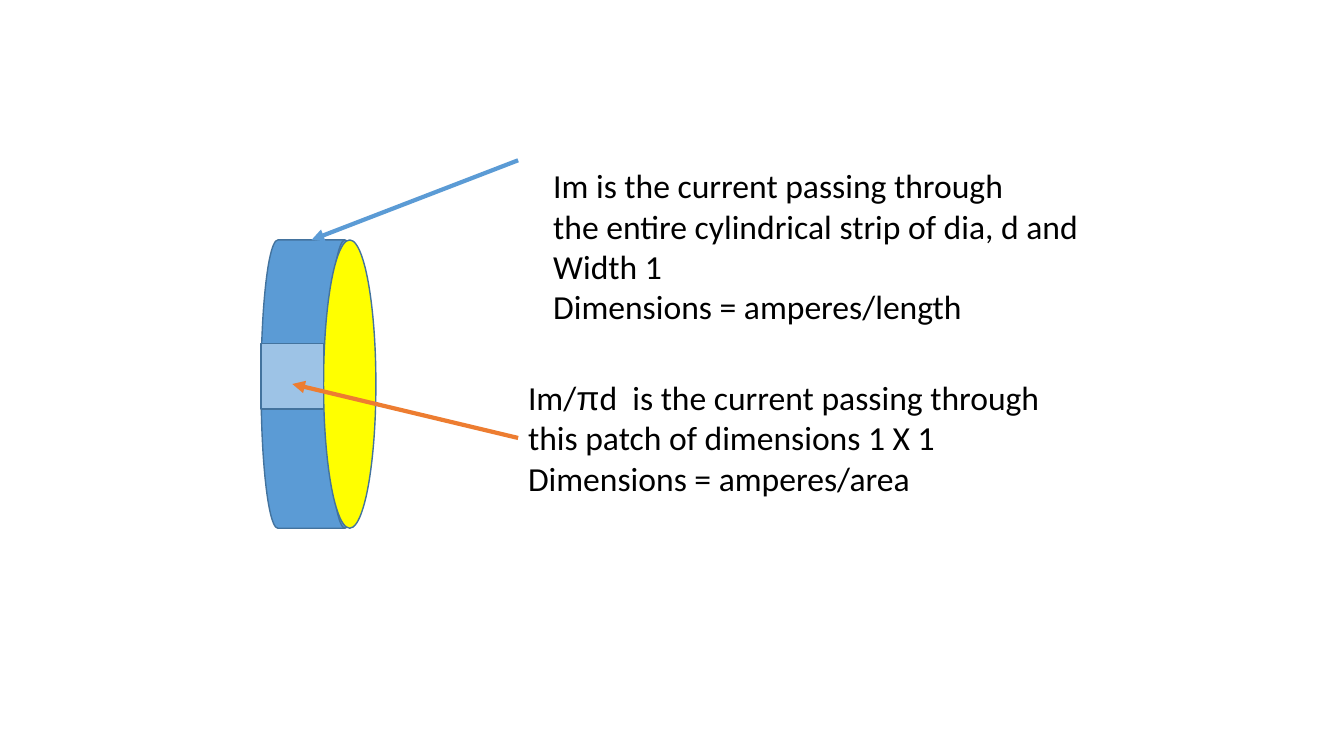
import pptx
import pptx.util
import pptx.dml.color
import pptx.enum.shapes
import pptx.enum.text
import pptx.oxml.ns
import lxml.etree

Pt = pptx.util.Pt
RGB = pptx.dml.color.RGBColor
KIND = pptx.enum.shapes.MSO_SHAPE
BLUE = RGB(0x5B, 0x9B, 0xD5)
EDGE = RGB(0x43, 0x73, 0x9E)
YELLOW = RGB(0xFF, 0xFF, 0x00)
PALE = RGB(0x9D, 0xC3, 0xE6)
ORANGE = RGB(0xED, 0x7D, 0x31)
BLACK = RGB(0, 0, 0)

deck = pptx.Presentation()
deck.slide_width, deck.slide_height = Pt(960), Pt(540)
slide = deck.slides.add_slide(deck.slide_layouts[6])


def add_arrow(start, end, color):
    line = slide.shapes.add_connector(
        pptx.enum.shapes.MSO_CONNECTOR.STRAIGHT,
        *[Pt(v) for v in start + end])
    line.line.color.rgb = color
    line.line.width = Pt(3)
    qn = pptx.oxml.ns.qn
    tip = lxml.etree.SubElement(line.line._get_or_add_ln(), qn("a:tailEnd"))
    tip.set("type", "triangle")
    lxml.etree.SubElement(line._element.spPr, qn("a:effectLst"))
    return line


def add_note(left, top, width, height, lines):
    box = slide.shapes.add_textbox(Pt(left), Pt(top), Pt(width), Pt(height))
    frame = box.text_frame
    frame.word_wrap = False
    frame.auto_size = pptx.enum.text.MSO_AUTO_SIZE.SHAPE_TO_FIT_TEXT
    for row, parts in enumerate(lines):
        para = frame.add_paragraph() if row else frame.paragraphs[0]
        for text in parts:
            run = para.add_run()
            run.text = text
            run.font.name = "Arial" if text == "π" else "Calibri"
            run.font.size = Pt(24)
            run.font.color.rgb = BLACK
    return box


# Cylindrical strip: drum, open face and unit patch
for kind, left, top, width, height, color in [
    (KIND.FLOWCHART_DIRECT_ACCESS_STORAGE, 186.5, 171.4, 72, 205.9, BLUE),
    (KIND.OVAL, 231.1, 171.4, 37.4, 205.9, YELLOW),
    (KIND.RECTANGLE, 186.5, 245.5, 44.6, 46.8, PALE),
]:
    part = slide.shapes.add_shape(kind, Pt(left), Pt(top), Pt(width), Pt(height))
    part.shadow.inherit = False
    part.fill.solid()
    part.fill.fore_color.rgb = color
    part.line.color.rgb = EDGE
    part.line.width = Pt(1)

# Current through the whole strip
add_arrow((370.1, 114.5), (222.5, 171.4), BLUE)
add_note(388.1, 114.5, 398.2, 123.8, [
    ["Im is the current passing through"],
    ["the entire cylindrical strip of dia, d and"],
    ["Width 1"],
    ["Dimensions = amperes/length"],
])

# Current through the patch
note = add_note(370.1, 265.7, 385.2, 94.3, [
    ["Im/", "π", "d  is the current passing through"],
    ["this patch of dimensions 1 X 1"],
    ["Dimensions = amperes/area"],
])
arrow = add_arrow((370.1, 312.9), (208.8, 274.3), ORANGE)
arrow.begin_connect(note, 1)

deck.save("out.pptx")
